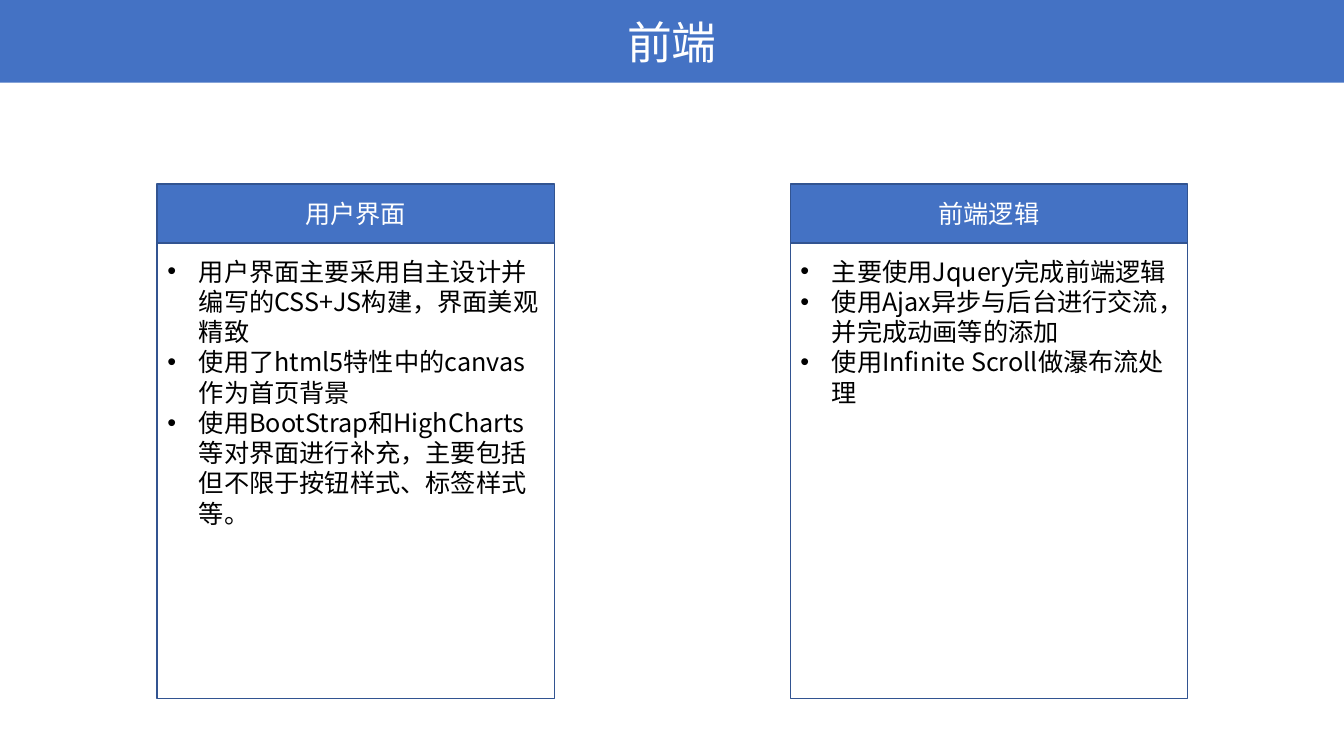
import pptx
import pptx.util
import pptx.dml.color
import pptx.enum.shapes
import pptx.enum.text
import lxml.etree
from pptx.oxml.ns import qn

TITLE = "前端"
PANELS = [
    ("用户界面", [
        "用户界面主要采用自主设计并编写的CSS+JS构建，界面美观精致",
        "使用了html5特性中的canvas作为首页背景",
        "使用BootStrap和HighCharts等对界面进行补充，主要包括但不限于按钮样式、标签样式等。",
    ]),
    ("前端逻辑", [
        "主要使用Jquery完成前端逻辑",
        "使用Ajax异步与后台进行交流，并完成动画等的添加",
        "使用Infinite Scroll做瀑布流处理",
    ]),
]
COLORS = {"blue": "4472C4", "edge": "325491", "white": "FFFFFF", "black": "000000"}
FONT = "Noto Sans CJK SC"
WIDE, HIGH = 960, 540
BAR = 59
LEFT, STEP, WIDTH = 112.3, 452.2, 283.7
TOP, HEAD, BODY = 131.5, 42.2, 325.4
LIST_TOP, INDENT = 179.3, 22.5

Pt = pptx.util.Pt
ALIGN = pptx.enum.text.PP_ALIGN
ANCHOR = pptx.enum.text.MSO_ANCHOR


def color(name):
    return pptx.dml.color.RGBColor.from_string(COLORS[name])


def place(shape, x, y, w, h):
    shape.left, shape.top, shape.width, shape.height = Pt(x), Pt(y), Pt(w), Pt(h)


def style(frame, size, ink, align, anchor):
    frame.word_wrap = True
    frame.auto_size = pptx.enum.text.MSO_AUTO_SIZE.NONE
    frame.vertical_anchor = anchor
    frame.margin_left = frame.margin_right = Pt(7.2)
    frame.margin_top = frame.margin_bottom = Pt(3.6)
    for para in frame.paragraphs:
        para.alignment = align
        para.space_before = Pt(0)
        for run in para.runs:
            run.font.size = Pt(size)
            run.font.name = FONT
            run.font.color.rgb = color(ink)
            # East Asian glyphs take their font from a separate element
            east = lxml.etree.SubElement(run.font._element, qn("a:ea"))
            east.set("typeface", FONT)


def box(x, y, w, h, fill, edge=None):
    kind = pptx.enum.shapes.MSO_SHAPE.RECTANGLE
    shape = slide.shapes.add_shape(kind, Pt(x), Pt(y), Pt(w), Pt(h))
    shape.shadow.inherit = False
    shape.fill.solid()
    shape.fill.fore_color.rgb = color(fill)
    if edge:
        shape.line.color.rgb = color(edge)
        shape.line.width = Pt(1)
    else:
        shape.line.fill.background()
    return shape


def raise_up(shape):
    """Bring a placeholder in front of the boxes drawn so far."""
    shape.element.getparent().append(shape.element)


def bullet(para):
    props = para._p.get_or_add_pPr()
    props.set("marL", str(Pt(INDENT)))
    props.set("indent", str(-Pt(INDENT)))
    font = lxml.etree.SubElement(props, qn("a:buFont"))
    font.set("typeface", "Arial")
    lxml.etree.SubElement(props, qn("a:buChar")).set("char", "•")


deck = pptx.Presentation()
deck.slide_width, deck.slide_height = Pt(WIDE), Pt(HIGH)
slide = deck.slides.add_slide(deck.slide_layouts.get_by_name("Two Content"))
title, *lists = slide.placeholders

box(0, 0, WIDE, BAR, "blue")
title.text_frame.text = TITLE
place(title, 335.5, 6.5, 289, 46)
style(title.text_frame, 32, "white", ALIGN.CENTER, ANCHOR.MIDDLE)
raise_up(title)

for i, ((name, points), body) in enumerate(zip(PANELS, lists)):
    x = LEFT + i * STEP
    head = box(x, TOP, WIDTH, HEAD, "blue", "edge")
    head.text_frame.text = name
    style(head.text_frame, 18, "white", ALIGN.CENTER, ANCHOR.MIDDLE)
    box(x, TOP + HEAD, WIDTH, BODY, "white", "edge")

    body.text_frame.text = "\n".join(points)
    place(body, x, LIST_TOP, WIDTH, TOP + HEAD + BODY - LIST_TOP)
    style(body.text_frame, 18, "black", ALIGN.LEFT, ANCHOR.TOP)
    for para in body.text_frame.paragraphs:
        bullet(para)
    raise_up(body)

deck.save("out.pptx")
